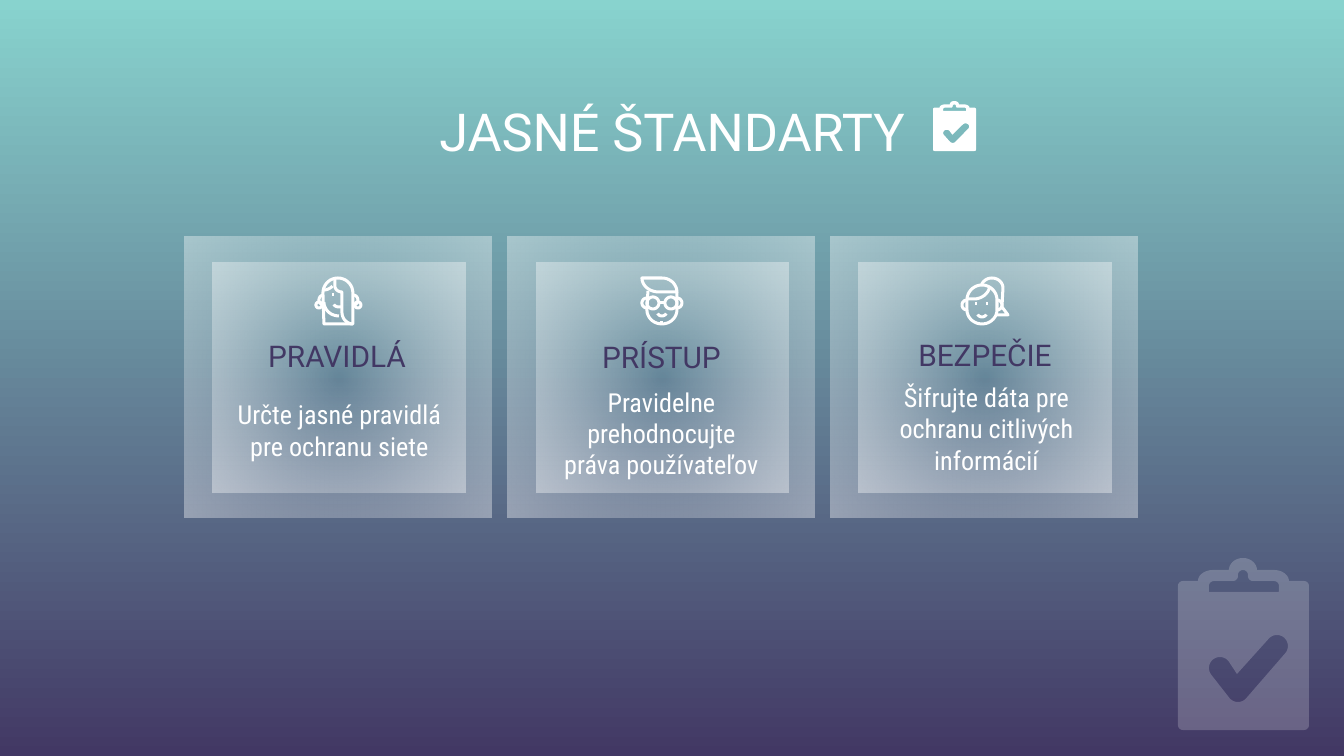
"""Builds the slide on clear standards with three cards."""
import math

from lxml import etree
from pptx import Presentation
from pptx import util as u
from pptx.dml.color import RGBColor
from pptx.enum import shapes, text
from pptx.oxml.ns import qn

PX = 914400 / 134.4
COLORS = {"white": "FFFFFF", "mint": "88D3CE", "plum": "423864"}
FORMATS = {
    "title": {"name": "Roboto", "size": u.Pt(28), "bold": False},
    "heading": {"name": "Roboto", "size": u.Pt(16), "bold": False},
    "body": {"name": "Roboto Condensed", "size": u.Pt(14), "bold": False},
}


def px(*lengths):
    """Turn pixel lengths into EMU."""
    return [u.Emu(round(length * PX)) for length in lengths]


def rgb(name):
    """Look up a colour by name."""
    return RGBColor.from_string(COLORS[name])


def arc(x, y, rx, ry, start, stop):
    """List points along an elliptical arc, in clockwise degrees."""
    steps = max(4, math.ceil(abs(stop - start) / 10))
    angles = [math.radians(start + (stop - start) * i / steps) for i in range(steps + 1)]
    return [(x + rx * math.cos(a), y + ry * math.sin(a)) for a in angles]


def ring(x, y, radius):
    """List points around a circle."""
    return arc(x, y, radius, radius, 0, 360)


CLIPBOARD = [
    arc(35, 23, 15, 11, 180, 270) + arc(65, 12, 14, 12, 180, 360)
    + arc(96, 23, 15, 11, 270, 360) + arc(126, 28, 5, 5, 270, 360)
    + arc(126, 167, 5, 5, 0, 90) + arc(5, 167, 5, 5, 90, 180)
    + arc(5, 28, 5, 5, 180, 270),
    arc(36, 28, 5, 5, 180, 270) + arc(55, 18, 5, 5, 90, 0)
    + arc(65, 17, 5, 5, 180, 360) + arc(75, 18, 5, 5, 180, 90)
    + arc(96, 28, 5, 5, 270, 360) + [(101, 34), (31, 34)],
    arc(42, 110, 11, 11, 141, 321) + [(59, 116)]
    + arc(99, 88, 11, 11, -138, 42) + arc(60, 133, 11, 11, 42, 141),
]
LONG_HAIR = [
    [(10, 48)] + arc(24, 17, 15, 15, 180, 360) + [(39, 48), (10, 48)],
    [(21, 3)] + arc(28, 10, 7, 6, 180, 90) + arc(39, 36, 11, 12, 180, 90),
    arc(10, 3, 11, 11, 40, 90),
    arc(25, 26, 15, 14, 180, 90),
    arc(10, 24, 5, 5, 90, 270), arc(39, 24, 5, 5, -90, 90),
    ring(5, 29, 3), ring(44, 29, 3),
    arc(25, 26, 6, 5, 150, 70),
    [(18, 19), (20, 19)],
]
GLASSES = [
    [(2, 2)] + arc(22, 16, 15, 14, 270, 360) + arc(19, 2, 17, 14, 90, 180),
    [(8, 15)] + arc(22, 34, 15, 14, 180, 0) + [(37, 16)],
    ring(13, 27, 6), ring(31, 27, 6), [(19, 27), (25, 27)],
    arc(7, 27, 5, 5, 90, 270), arc(37, 27, 5, 5, -90, 90),
    arc(22, 35, 5, 5, 150, 30),
    [(22, 45), (22, 48)],
]
PONYTAIL = [
    arc(22, 24, 15, 15, 180, 360) + arc(22, 34, 15, 14, 0, 180) + [(7, 24)],
    [(7, 23)] + arc(14, 8, 16, 15, 90, 10),
    arc(32, 12, 11, 10, 200, 360) + [(42, 31), (48, 39), (37, 39)],
    arc(7, 29, 5, 5, 90, 270), arc(37, 29, 5, 5, -90, 90),
    [(15, 28), (17, 28)], [(26, 28), (28, 28)],
    arc(22, 36, 5, 5, 150, 30),
]


def set_alpha(shape, percent):
    """Make a solid fill partly transparent."""
    color = shape.fill._xPr.find(".//" + qn("a:srgbClr"))
    etree.SubElement(color, qn("a:alpha")).set("val", str(percent * 1000))


def add_outline(page, contours, left, top, scale=(1, 1), closed=False):
    """Draw contours as one freeform at the given corner."""
    scaled = [[px(x * scale[0], y * scale[1]) for x, y in line] for line in contours]
    builder = page.shapes.build_freeform(*scaled[0][0])
    for index, line in enumerate(scaled):
        if index:
            builder.move_to(*line[0])
        builder.add_line_segments(line[1:], close=closed)
    shape = builder.convert_to_shape(*px(left, top))
    shape.shadow.inherit = False
    return shape


def add_clipboard(page, left, top, width, height, alpha=100):
    """Draw the checked clipboard to fill a box."""
    icon = add_outline(page, CLIPBOARD, left, top, (width / 131, height / 172), True)
    icon.fill.solid()
    icon.fill.fore_color.rgb = rgb("white")
    icon.line.fill.background()
    set_alpha(icon, alpha)


def add_face(page, contours, left, top):
    """Draw a line-art face at the given corner."""
    face = add_outline(page, contours, left, top)
    face.fill.background()
    face.line.color.rgb = rgb("white")
    face.line.width = px(3)[0]


def add_panel(page, *box):
    """Draw a rectangle that glows towards its edges."""
    panel = page.shapes.add_shape(shapes.MSO_SHAPE.RECTANGLE, *px(*box))
    panel.shadow.inherit = False
    panel.line.fill.background()
    panel.fill.gradient()
    gradient = panel.fill._xPr.find(qn("a:gradFill"))
    gradient.remove(gradient.find(qn("a:lin")))
    for stop, alpha in zip(panel.fill.gradient_stops, (0, 39)):
        stop.color.rgb = rgb("white")
    for color, alpha in zip(gradient.iter(qn("a:srgbClr")), (0, 39)):
        etree.SubElement(color, qn("a:alpha")).set("val", str(alpha * 1000))
    circle = etree.SubElement(gradient, qn("a:path"), {"path": "circle"})
    etree.SubElement(circle, qn("a:fillToRect"), dict.fromkeys("ltrb", "50000"))


def write(box, words, style, color, anchor):
    """Fill a text frame with one centred paragraph."""
    frame = box.text_frame
    settings = {"word_wrap": True, "auto_size": text.MSO_AUTO_SIZE.NONE,
                "vertical_anchor": anchor}
    for side in ("left", "top", "right", "bottom"):
        settings["margin_" + side] = u.Inches(0.1)
    for name, value in settings.items():
        setattr(frame, name, value)
    para = frame.paragraphs[0]
    para.alignment = text.PP_ALIGN.CENTER
    span = para.add_run()
    span.text = words
    for name, value in FORMATS[style].items():
        setattr(span.font, name, value)
    span.font.color.rgb = rgb(color)


def add_card(page, left, top, card):
    """Place one card with its panels, face, heading and body."""
    add_panel(page, left, top, 307, 281)
    add_panel(page, left + 28, top + 26, 252, 230)
    add_face(page, card["face"], left + card["face_left"], top + 39)
    for key, color, anchor in (("heading", "plum", text.MSO_ANCHOR.BOTTOM),
                               ("body", "white", text.MSO_ANCHOR.MIDDLE)):
        words, (x, y, width, height) = card[key]
        box = page.shapes.add_textbox(*px(left + x, top + y, width, height))
        write(box, words, key, color, anchor)


def add_header(page, left, top, width, height):
    """Place the slide title and its clipboard."""
    title = page.shapes.title
    for name, value in zip(("left", "top", "width", "height"), px(left, top, width, height)):
        setattr(title, name, value)
    write(title, "JASNÉ ŠTANDARTY", "title", "white", text.MSO_ANCHOR.BOTTOM)
    add_clipboard(page, left + 866, top + 24, 43, 50)


CARDS = [
    {"face": LONG_HAIR, "face_left": 129,
     "heading": ("PRAVIDLÁ", (-119, 69, 542, 81)),
     "body": ("Určte jasné pravidlá pre ochranu siete", (33, 166, 243, 54))},
    {"face": GLASSES, "face_left": 132,
     "heading": ("PRÍSTUP", (38, 66, 231, 85)),
     "body": ("Pravidelne prehodnocujte práva používateľov", (38, 149, 231, 94))},
    {"face": PONYTAIL, "face_left": 129,
     "heading": ("BEZPEČIE", (-39, 68, 386, 81)),
     "body": ("Šifrujte dáta pre ochranu citlivých informácií", (40, 151, 231, 81))},
]


def main():
    """Build and save the deck."""
    deck = Presentation()
    deck.slide_width, deck.slide_height = px(1344, 756)
    page = deck.slides.add_slide(deck.slide_layouts[5])
    fill = page.background.fill
    fill.gradient()
    fill.gradient_angle = 270
    for stop, name in zip(fill.gradient_stops, ("mint", "plum")):
        stop.color.rgb = rgb(name)
    add_clipboard(page, 1178, 558, 131, 172, 20)
    for index, card in enumerate(CARDS):
        add_card(page, 185 + 323 * index, 237, card)
    add_header(page, 67, 77, 1210, 98)
    deck.save("out.pptx")


if __name__ == "__main__":
    main()
